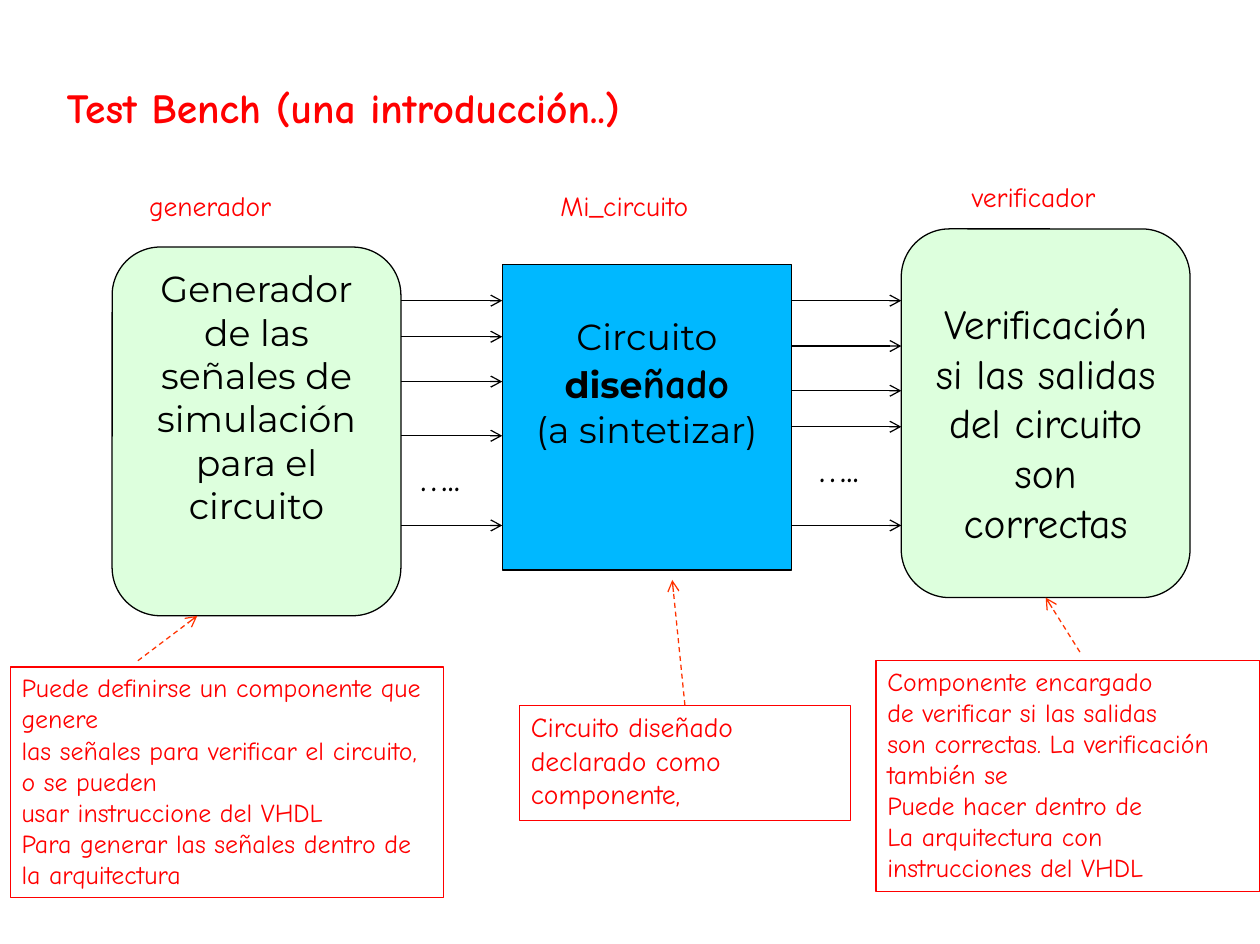
from pptx import Presentation, util as u
from pptx.dml import color
from pptx.enum import dml, shapes, text
from pptx.oxml import ns
from lxml import etree

COMIC, MONT = "Comic Neue", "Montserrat"
BLACK, RED, ORANGE = "000000", "FF0000", "FF3300"
BLUE, GREEN = "00B8FF", "CCFFCC"


def tint(code):
    return color.RGBColor.from_string(code)


class Board:
    def __init__(self, deck):
        self.slide = deck.slides.add_slide(deck.slide_layouts[6])
        self.pen = 0.75
        self.pad = (6.5, 3, 6.5, 3)

    def fill_text(self, shape, paras, align=None, pad=None, anchor=text.MSO_ANCHOR.TOP, wrap=True):
        frame = shape.text_frame
        frame.word_wrap = wrap
        frame.vertical_anchor = anchor
        left, top, right, base = pad or self.pad
        frame.margin_left, frame.margin_top = u.Pt(left), u.Pt(top)
        frame.margin_right, frame.margin_bottom = u.Pt(right), u.Pt(base)
        for i, runs in enumerate(paras):
            para = frame.paragraphs[0] if i == 0 else frame.add_paragraph()
            para.alignment = align or text.PP_ALIGN.LEFT
            for words, face, size, ink, bold in runs:
                run = para.add_run()
                run.text = words
                run.font.name = face
                run.font.size = u.Pt(size)
                run.font.bold = bold
                run.font.color.rgb = tint(ink)

    def shape(self, kind, spot, fill, line):
        item = self.slide.shapes.add_shape(kind, *map(u.Pt, spot))
        item.shadow.inherit = False
        if fill:
            item.fill.solid()
            item.fill.fore_color.rgb = tint(fill)
        else:
            item.fill.background()
        item.line.color.rgb = tint(line)
        item.line.width = u.Pt(self.pen)
        return item

    def block(self, spot, fill, paras, top=3, round=False):
        kind = shapes.MSO_SHAPE.ROUNDED_RECTANGLE if round else shapes.MSO_SHAPE.RECTANGLE
        item = self.shape(kind, spot, fill, BLACK)
        if round:
            shade = item._element.spPr.find(ns.qn("a:solidFill")).find(ns.qn("a:srgbClr"))
            etree.SubElement(shade, ns.qn("a:alpha"), val="66000")
        self.fill_text(item, paras, text.PP_ALIGN.CENTER, (6.5, top, 6.5, 3))
        return item

    def note(self, spot, size, lines):
        item = self.shape(shapes.MSO_SHAPE.RECTANGLE, spot, None, RED)
        self.fill_text(item, [[(line, COMIC, size, RED, False)] for line in lines])
        return item

    def label(self, spot, words, size, ink):
        box = self.slide.shapes.add_textbox(*map(u.Pt, spot))
        self.fill_text(box, [[(words, COMIC, size, ink, False)]], wrap=False)
        box.text_frame.auto_size = text.MSO_AUTO_SIZE.SHAPE_TO_FIT_TEXT

    def title(self, spot, words):
        box = self.slide.shapes.add_textbox(*map(u.Pt, spot))
        self.fill_text(box, [[(words, COMIC, 24, RED, True)]],
                       pad=(7.2, 3.6, 7.2, 3.6), anchor=text.MSO_ANCHOR.BOTTOM)

    def arrow(self, ends, ink=BLACK, dash=False):
        item = self.slide.shapes.add_connector(shapes.MSO_CONNECTOR.STRAIGHT, *map(u.Pt, ends))
        item.line.color.rgb = tint(ink)
        item.line.width = u.Pt(self.pen)
        if dash:
            item.line.dash_style = dml.MSO_LINE.DASH
        props = item._element.spPr
        etree.SubElement(props.find(ns.qn("a:ln")), ns.qn("a:tailEnd"), type="arrow")
        etree.SubElement(props, ns.qn("a:effectLst"))
        return item


def main():
    deck = Presentation()
    deck.slide_width, deck.slide_height = u.Pt(730), u.Pt(547.2)
    board = Board(deck)
    board.title((31.7, 0, 679.7, 79.9), "Test Bench (una introducción..)")

    board.block((291, 153.5, 167.5, 177), BLUE, [
        [("Circuito ", MONT, 21, BLACK, False),
         ("dise", MONT, 21, BLACK, True),
         ("ñado", COMIC, 24, BLACK, True)],
        [("(a sintetizar)", MONT, 21, BLACK, False)]], top=28.5)
    board.block((65, 143.2, 167.3, 213.7), GREEN, [
        [("Generador de las señales de simulación para el circuito",
          MONT, 21, BLACK, False)]], round=True)
    check = board.block((522.2, 132.7, 167.3, 213.7), GREEN, [
        [("Verificación si las salidas del circuito son correctas",
          COMIC, 24, BLACK, False)]], top=32, round=True)

    for left, right, rows in (
            (232.3, 291, (174.3, 195.2, 221.2, 252.6, 304.6)),
            (458.5, 522.2, (174.3, 200.6, 226.5, 247.4, 304.6))):
        for y in rows:
            board.arrow((left, y, right, y))

    for x, y in ((468, 252.7), (236.9, 257.8)):
        board.label((x, y, 41, 35.3), "…..", 24, BLACK)
    for x, y, wide, words in (
            (79.9, 106.6, 89.3, "generador"),
            (318.2, 106.6, 100, "Mi_circuito"),
            (556.6, 101.5, 97.2, "verificador")):
        board.label((x, y, wide, 26), words, 16, RED)

    board.note((6, 386.6, 250.8, 133.9), 15, (
        "Puede definirse un componente que genere",
        "las señales para verificar el circuito, o se pueden",
        "usar instruccione del VHDL",
        "Para generar las señales dentro de la arquitectura"))
    core = board.note((301, 408.8, 191.7, 67), 16, (
        "Circuito diseñado declarado como",
        "componente,"))
    board.note((507.6, 382.7, 222.4, 133.9), 15, (
        "Componente encargado",
        "de verificar si las salidas",
        "son correctas. La verificación también se",
        "Puede hacer dentro de",
        "La arquitectura con instrucciones del VHDL"))

    board.arrow((79.9, 383, 114.3, 357), ORANGE, True)
    board.arrow((396.8, 408.8, 389.5, 336.2), ORANGE, True).begin_connect(core, 0)
    board.arrow((625.7, 378, 605.9, 346.4), ORANGE, True).end_connect(check, 2)
    deck.save("out.pptx")


if __name__ == "__main__":
    main()
